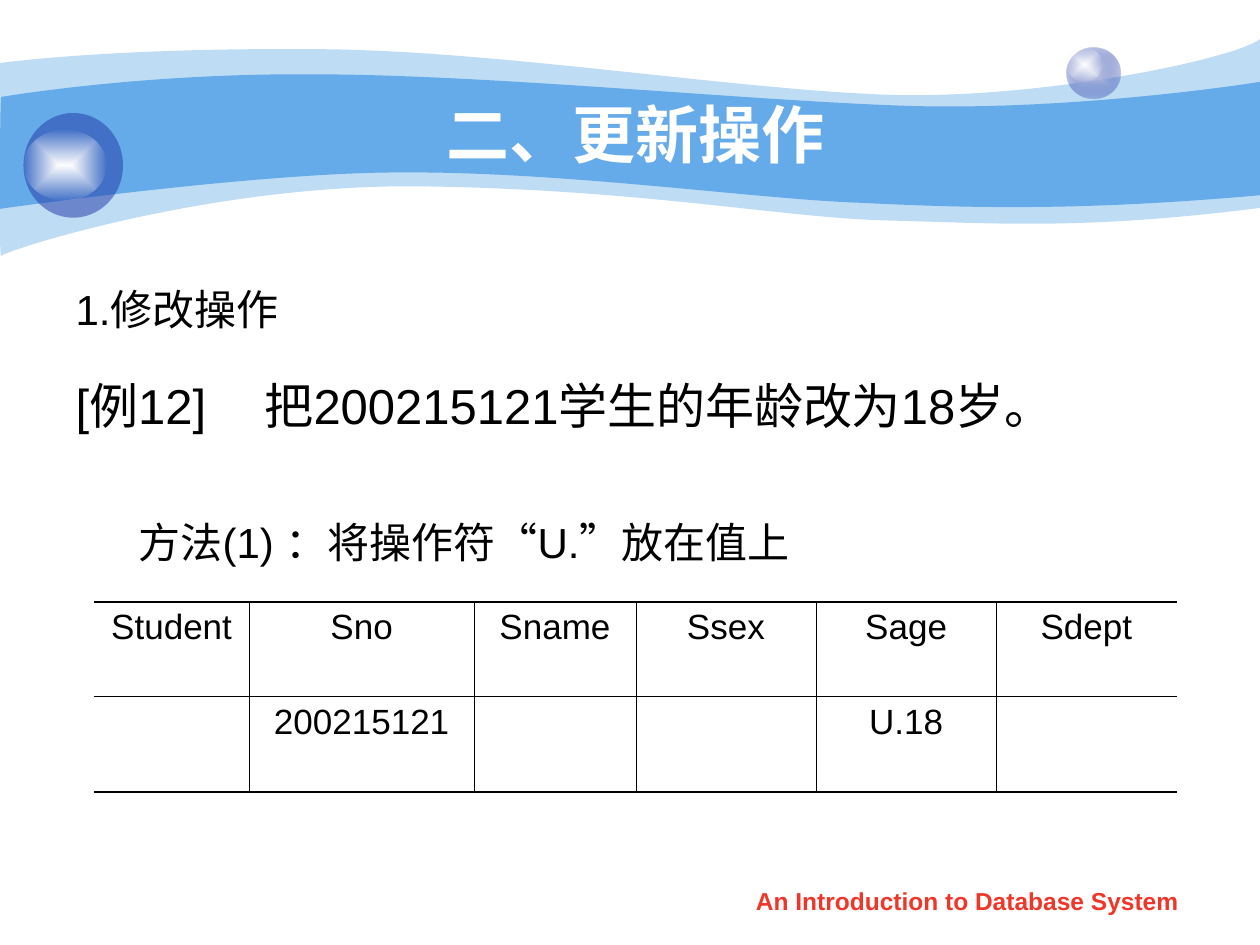
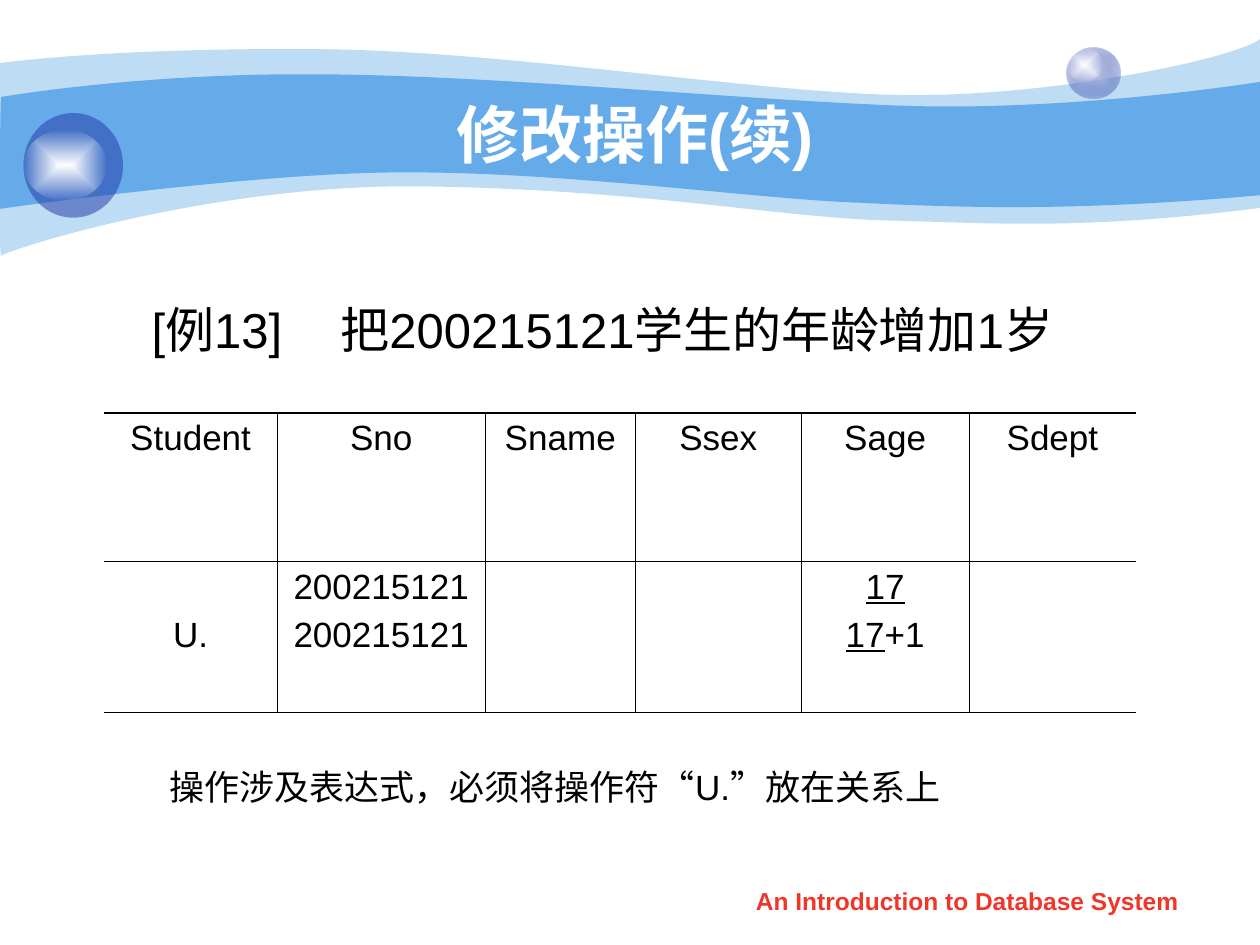
import pptx
import pptx.dml.color
import pptx.enum.shapes
import pptx.enum.text
import pptx.oxml
import pptx.oxml.ns
import pptx.util

Pt = pptx.util.Pt
ALIGN = pptx.enum.text.PP_ALIGN
NAMESPACE = pptx.oxml.ns.nsdecls("a")
COLORS = {
    "sky": "65AAE9",
    "navy": "233DA9",
    "lilac": "C6CCE8",
    "white": "FFFFFF",
    "glow": "FEFEFE",
    "black": "000000",
    "red": "F03628",
}
FONT = "Arial"
FOOTER = "An Introduction to Database System"
THIN, THICK = 0.45, 1.08

WAVES = [
    {
        "start": (0, 36),
        "alpha": 41,
        "segments": [
            (17.3, 33.8, 77, 27.4, 177.8, 28.1),
            (277.9, 28.1, 414, 50.4, 503.3, 54),
            (591.8, 57.6, 705.6, 33.8, 720, 22.3),
            (720, 118.8),
            (617.8, 131.8, 566.6, 127.4, 507.6, 126),
            (447.8, 124.6, 370.8, 108.7, 247, 106.6),
            (123.8, 103.7, 2.9, 143.3, 0.7, 146.2),
            (-0.7, 149.8, 0, 54, 0, 36),
        ],
    },
    {
        "start": (0.7, 55.4),
        "alpha": 100,
        "segments": [
            (1.4, 55.4, 79.2, 41.8, 178.6, 42.5),
            (277.9, 42.5, 428.4, 57.6, 517, 60.5),
            (605.5, 63.4, 702.7, 49.7, 720, 46.8),
            (720, 111.6),
            (614.2, 121, 550.8, 118.8, 491, 115.9),
            (431.3, 113.8, 321.8, 97.9, 228.2, 98.6),
            (146.2, 98.6, -1.4, 119.5, -0.7, 119.5),
            (0, 119.5, 0, 55.4, 0.7, 55.4),
        ],
    },
]
SHINE = [("white", 100), ("glow", 0)]
BUBBLES = [
    ((609.8, 27.4, 30.2, 28.8), [("lilac", 100), ("navy", 31)]),
    ((609.8, 27.4, 20.2, 19.4), SHINE),
    ((13.4, 64.6, 56.9, 59.8), [("navy", 53)]),
    ((13.4, 74.2, 47.5, 40.3), SHINE),
]

HEADINGS = ["Student", "Sno", "Sname", "Ssex", "Sage", "Sdept"]
PAGES = [
    {
        "title": "二、更新操作",
        "body": (36, 144, 630, 216.7),
        "line_spacing": [1.5, 1.5, 1],
        "lines": [
            ("1.修改操作", 24, 0, 0),
            ("[例12]\t把200215121学生的年龄改为18岁。", 28, 0, 7),
            ("方法(1) ：将操作符“U.”放在值上", 24, 36, 47),
        ],
        "table": (53.8, 343.8),
        "columns": [88.6, 128.6, 92.4, 103, 103, 103],
        "rows": [54.2, 54.7],
        "values": ["", "200215121", "", "", "U.18", ""],
        "relation_top": 3.6,
    },
    {
        "title": "修改操作(续)",
        "body": (79.4, 144, 604, 354.2),
        "line_spacing": [1.7, 1.7],
        "lines": [
            ("[例13]\t把200215121学生的年龄增加1岁", 28, 0, 0),
            ("操作涉及表达式，必须将操作符“U.”放在关系上", 20, 10, 215.7),
        ],
        "table": (59.5, 235.9),
        "columns": [98.9, 119, 85.6, 95, 95.8, 95.4],
        "rows": [84.9, 86.4],
        "values": ["U.", "200215121\n200215121", "", "", "_17_\n_17_+1", ""],
        "relation_top": 31,
    },
]


def style_span(span, size, color="black", bold=False):
    span.font.name = FONT
    span.font.size = Pt(size)
    span.font.bold = bold
    span.font.color.rgb = pptx.dml.color.RGBColor.from_string(COLORS[color])


def paint(shape, stops):
    shape.shadow.inherit = False
    shape.line.fill.background()
    shape.fill.background()
    tints = [
        f'<a:srgbClr val="{COLORS[name]}"><a:alpha val="{alpha * 1000}"/></a:srgbClr>'
        for name, alpha in stops
    ]
    if len(tints) == 1:
        xml = f"<a:solidFill {NAMESPACE}>{tints[0]}</a:solidFill>"
    else:
        xml = (
            f'<a:gradFill {NAMESPACE} rotWithShape="1"><a:gsLst>'
            f'<a:gs pos="0">{tints[0]}</a:gs><a:gs pos="100000">{tints[1]}</a:gs></a:gsLst>'
            '<a:path path="rect"><a:fillToRect l="50000" t="50000" r="50000" b="50000"/>'
            "</a:path></a:gradFill>"
        )
    properties = shape.element.spPr
    empty_fill = properties.find(pptx.oxml.ns.qn("a:noFill"))
    properties.replace(empty_fill, pptx.oxml.parse_xml(xml))


deck = pptx.Presentation()
deck.slide_width, deck.slide_height = Pt(720), Pt(540)
layout = deck.slide_layouts[1]
pages = [deck.slides.add_slide(layout) for content in PAGES]

decorations = []
for wave in WAVES:
    x, y = wave["start"]
    builder = pages[0].shapes.build_freeform(Pt(x), Pt(y))
    ends = [(Pt(segment[-2]), Pt(segment[-1])) for segment in wave["segments"]]
    builder.add_line_segments(ends, close=True)
    band = builder.convert_to_shape()
    straight_lines = list(band.element.iter(pptx.oxml.ns.qn("a:lnTo")))
    for line, segment in zip(straight_lines, wave["segments"]):
        if len(segment) == 6:
            points = "".join(
                f'<a:pt x="{Pt(across) - band.left}" y="{Pt(down) - band.top}"/>'
                for across, down in zip(segment[::2], segment[1::2])
            )
            curve = f"<a:cubicBezTo {NAMESPACE}>{points}</a:cubicBezTo>"
            line.getparent().replace(line, pptx.oxml.parse_xml(curve))
    paint(band, [("sky", wave["alpha"])])
    decorations.append(band)
for place, stops in BUBBLES:
    bubble = pages[0].shapes.add_shape(
        pptx.enum.shapes.MSO_SHAPE.OVAL, *[Pt(length) for length in place]
    )
    paint(bubble, stops)
    decorations.append(bubble)
for index, shape in enumerate(decorations):
    shape.element.nvSpPr.cNvPr.set("id", str(20 + index))
    layout.shapes.element.insert(2 + index, shape.element)

for page, content in zip(pages, PAGES):
    title = page.shapes.title
    body = page.placeholders[1]
    for box, place in ((title, (72, 54, 581.8, 44.6)), (body, content["body"])):
        box.left, box.top, box.width, box.height = [Pt(length) for length in place]
        box.text_frame.auto_size = pptx.enum.text.MSO_AUTO_SIZE.NONE
        box.text_frame.word_wrap = True
    title.text_frame.text = content["title"]
    title.text_frame.vertical_anchor = pptx.enum.text.MSO_ANCHOR.MIDDLE
    title.text_frame.paragraphs[0].alignment = ALIGN.CENTER
    style_span(title.text_frame.paragraphs[0].runs[0], 36, "white", True)

    body.text_frame.vertical_anchor = pptx.enum.text.MSO_ANCHOR.TOP
    body.text_frame.text = "\n".join(line[0] for line in content["lines"])
    for para, line, spacing in zip(
        body.text_frame.paragraphs, content["lines"], content["line_spacing"]
    ):
        text, size, margin, gap = line
        properties = para._p.get_or_add_pPr()
        properties.set("marL", str(Pt(margin)))
        properties.set("indent", "0")
        properties.append(pptx.oxml.parse_xml(f"<a:buNone {NAMESPACE}/>"))
        if "\t" in text:
            properties.append(pptx.oxml.parse_xml(
                f'<a:tabLst {NAMESPACE}><a:tab pos="{Pt(112.3)}" algn="l"/></a:tabLst>'
            ))
        para.alignment = ALIGN.JUSTIFY
        para.line_spacing = spacing
        para.space_before = Pt(gap)
        style_span(para.runs[0], size)

    left, top = content["table"]
    frame = page.shapes.add_table(
        2, len(HEADINGS), Pt(left), Pt(top),
        Pt(sum(content["columns"])), Pt(sum(content["rows"])),
    )
    table = frame.table
    table.first_row = table.horz_banding = False
    for column, width in zip(table.columns, content["columns"]):
        column.width = Pt(width)
    for row_index, values in enumerate((HEADINGS, content["values"])):
        table.rows[row_index].height = Pt(content["rows"][row_index])
        for column_index, value in enumerate(values):
            cell = table.cell(row_index, column_index)
            borders = {
                "lnL": THIN if column_index > 0 else 0,
                "lnR": THIN if column_index < len(HEADINGS) - 1 else 0,
                "lnT": THICK if row_index == 0 else THIN,
                "lnB": THICK if row_index == 1 else THIN,
            }
            for side, width in borders.items():
                ink = f'<a:solidFill><a:srgbClr val="{COLORS["black"]}"/></a:solidFill>'
                cell._tc.get_or_add_tcPr().append(pptx.oxml.parse_xml(
                    f'<a:{side} {NAMESPACE} w="{Pt(width)}">'
                    f'{ink if width else "<a:noFill/>"}</a:{side}>'
                ))
            cell.fill.background()
            cell.text_frame.text = value
            for para_index, para in enumerate(cell.text_frame.paragraphs):
                para.alignment = ALIGN.CENTER
                para.space_before = Pt(5 if para_index else 0)
                pieces = para.text.split("_")
                para.text = ""
                for piece_index, piece in enumerate(pieces):
                    if piece:
                        span = para.add_run()
                        span.text = piece
                        style_span(span, 20)
                        span.font.underline = piece_index % 2 == 1
    table.cell(1, 0).margin_top = Pt(content["relation_top"])

    footer = page.shapes.add_textbox(Pt(411), Pt(502.6), Pt(283.7), Pt(25.2))
    footer.text_frame.word_wrap = True
    footer.text_frame.text = FOOTER
    footer.text_frame.paragraphs[0].alignment = ALIGN.CENTER
    style_span(footer.text_frame.paragraphs[0].runs[0], 14, "red", True)

deck.save("out.pptx")
